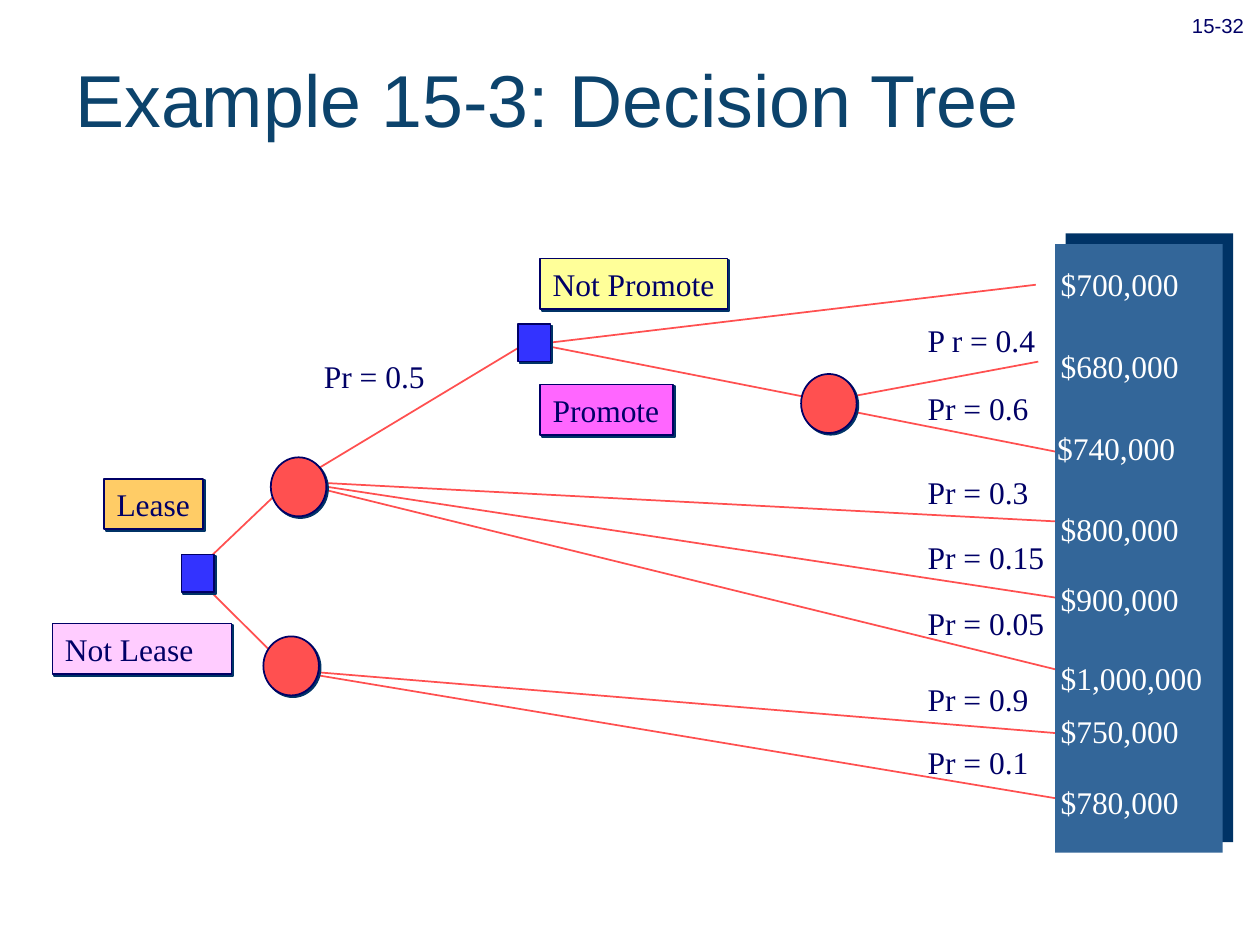
from typing import NamedTuple, Optional

from lxml.etree import SubElement
from pptx import Presentation
from pptx.dml.color import RGBColor
from pptx.enum.shapes import MSO_CONNECTOR, MSO_SHAPE
from pptx.enum.text import MSO_ANCHOR, PP_ALIGN
from pptx.oxml.ns import qn
from pptx.util import Cm, Pt

COLORS = {
    "navy": "000066", "shadow": "003366", "title": "0C436C", "white": "FFFFFF",
    "chance": "FF5050", "decision": "3333FF", "panel": "336699",
    "lease": "FFCC66", "not_lease": "FFCCFF",
    "not_promote": "FFFF99", "promote": "FF66FF",
}
SERIF, SANS = "Times New Roman", "Arial"
ROW_H = 1.02


class Branch(NamedTuple):
    x1: float
    y1: float
    x2: float
    y2: float


class Node(NamedTuple):
    kind: str
    x: float
    y: float


class Label(NamedTuple):
    text: str
    x: float
    y: float
    w: float
    fill: Optional[str] = None


BRANCHES = [
    Branch(5.79, 9.75, 4.11, 11.35),
    Branch(5.79, 13.46, 4.11, 11.79),
    Branch(5.79, 13.51, 21.51, 16.13),
    Branch(5.89, 13.51, 21.67, 14.81),
    Branch(5.84, 9.7, 21.67, 13.59),
    Branch(5.84, 9.7, 21.46, 10.52),
    Branch(5.84, 9.7, 21.56, 12.09),
    Branch(5.99, 9.7, 10.62, 6.91),
    Branch(10.64, 6.96, 20.88, 5.74),
    Branch(10.69, 6.91, 16.38, 8.03),
    Branch(16.59, 8.18, 21.46, 9.14),
    Branch(16.59, 8.1, 20.93, 7.29),
]
NODE_STYLES = {
    "chance": (MSO_SHAPE.OVAL, 1.12, 1.19),
    "decision": (MSO_SHAPE.RECTANGLE, 0.66, 0.76),
}
NODES = [
    Node("chance", 5.46, 9.22),
    Node("decision", 3.66, 11.18),
    Node("decision", 10.44, 6.53),
    Node("chance", 5.31, 12.83),
    Node("chance", 16.15, 7.54),
]
PAYOFFS = [
    Label("$700,000", 21.13, 5.22, 2.95),
    Label("$680,000", 21.13, 6.87, 2.95),
    Label("$740,000", 21.06, 8.52, 2.95),
    Label("$800,000", 21.13, 10.16, 2.95),
    Label("$900,000", 21.13, 11.57, 2.95),
    Label("$1,000,000", 21.13, 13.16, 3.45),
    Label("$750,000", 21.13, 14.22, 2.95),
    Label("$780,000", 21.13, 15.66, 2.95),
]
PROBABILITIES = [
    Label("Pr = 0.5", 6.28, 7.08, 2.6),
    Label("P r = 0.4", 18.45, 6.35, 2.75),
    Label("Pr = 0.6", 18.45, 7.72, 2.6),
    Label("Pr = 0.3", 18.45, 9.41, 2.6),
    Label("Pr = 0.15", 18.45, 10.73, 2.95),
    Label("Pr = 0.05", 18.45, 12.06, 2.95),
    Label("Pr = 0.9", 18.45, 13.59, 2.6),
    Label("Pr = 0.1", 18.45, 14.86, 2.6),
]
CHOICES = [
    Label("Lease", 2.1, 9.65, 2, "lease"),
    Label("Not Lease", 1.06, 12.57, 3.61, "not_lease"),
    Label("Not Promote", 10.89, 5.21, 3.78, "not_promote"),
    Label("Promote", 10.89, 7.75, 2.68, "promote"),
]


def rgb(name: str) -> RGBColor:
    return RGBColor.from_string(COLORS[name])


def add_branch(s, b: Branch) -> None:
    c = s.shapes.add_connector(
        MSO_CONNECTOR.STRAIGHT, Cm(b.x1), Cm(b.y1), Cm(b.x2), Cm(b.y2))
    c.line.color.rgb = rgb("chance")
    c.line.width = Pt(1)
    SubElement(c._element.spPr, qn("a:effectLst"))


def add_box(s, preset, x: float, y: float, w: float, h: float, fill: str,
            line: Optional[str] = "navy", dist: float = 1.4, angle: int = 45):
    sp = s.shapes.add_shape(preset, Cm(x), Cm(y), Cm(w), Cm(h))
    sp.fill.solid()
    sp.fill.fore_color.rgb = rgb(fill)
    if line:
        sp.line.color.rgb = rgb(line)
        sp.line.width = Pt(1)
    else:
        sp.line.fill.background()
    sp.shadow.inherit = False
    effects = sp._element.spPr.find(qn("a:effectLst"))
    shadow = SubElement(effects, qn("a:outerShdw"), blurRad="0", dist=str(Pt(dist)),
                        dir=str(angle * 60000), algn="ctr", rotWithShape="0")
    SubElement(shadow, qn("a:srgbClr"), val=COLORS["shadow"])
    return sp


def write(sp, text: str, size: float, font: str, color: str,
          anchor=MSO_ANCHOR.TOP, align=PP_ALIGN.LEFT):
    tf = sp.text_frame
    tf.word_wrap = True
    tf.vertical_anchor = anchor
    p = tf.paragraphs[0]
    p.alignment = align
    r = p.add_run()
    r.text = text
    r.font.size = Pt(size)
    r.font.name = font
    r.font.color.rgb = rgb(color)
    return r


def add_label(s, label: Label, color: str = "navy") -> None:
    if label.fill:
        sp = add_box(s, MSO_SHAPE.RECTANGLE, label.x, label.y, label.w, ROW_H, label.fill)
    else:
        sp = s.shapes.add_textbox(Cm(label.x), Cm(label.y), Cm(label.w), Cm(ROW_H))
    write(sp, label.text, 18, SERIF, color)
    sp.text_frame.margin_right = 0


def main() -> None:
    """Build the decision tree slide."""
    prs = Presentation()
    prs.slide_width, prs.slide_height = Cm(25.4), Cm(19.05)
    s = prs.slides.add_slide(prs.slide_layouts[6])

    for branch in BRANCHES:
        add_branch(s, branch)
    for node in NODES:
        preset, w, h = NODE_STYLES[node.kind]
        add_box(s, preset, node.x, node.y, w, h, node.kind)
    add_box(s, MSO_SHAPE.RECTANGLE, 21.27, 4.92, 3.38, 12.27, "panel", None, 8.5, 315)
    for payoff in PAYOFFS:
        add_label(s, payoff, "white")
    for label in CHOICES + PROBABILITIES:
        add_label(s, label)

    title = s.shapes.add_textbox(Cm(1.27), Cm(0.38), Cm(23.55), Cm(3.18))
    write(title, "Example 15-3: Decision Tree", 42, SANS, "title", MSO_ANCHOR.MIDDLE)
    number = s.shapes.add_textbox(Cm(23.6), Cm(-0.33), Cm(1.91), Cm(1.22))
    r = write(number, "15-32", 20, SANS, "navy", align=PP_ALIGN.CENTER)
    r._r.get_or_add_rPr().set("baseline", "-25000")

    prs.save("out.pptx")


if __name__ == "__main__":
    main()
